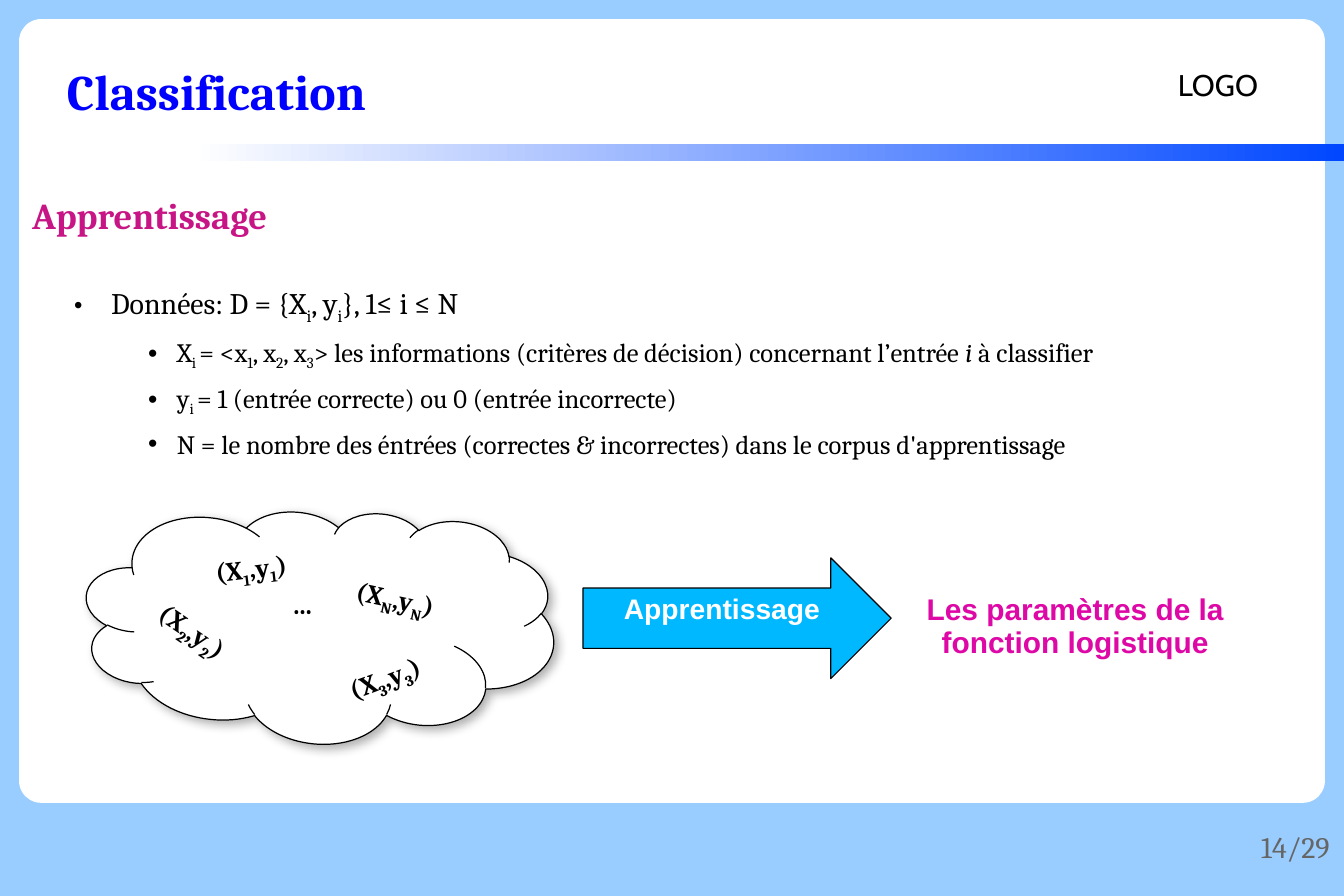
from lxml import etree
from pptx import Presentation
from pptx.dml.color import RGBColor
from pptx.enum.shapes import MSO_SHAPE as SHAPE
from pptx.enum.text import MSO_ANCHOR as ANCHOR, MSO_AUTO_SIZE as AUTOSIZE, PP_ALIGN as ALIGN
from pptx.oxml import parse_xml
from pptx.oxml.ns import nsdecls, qn
from pptx.util import Inches, Pt

# Content: ~ encloses subscripts, * encloses italics
TITLE = "Classification"
LOGO = "LOGO"
PAGE = "14/29"
HEADING = "Apprentissage"
DATA = "Données: D = {X~i~, y~i~}, 1≤ i ≤ N"
DETAILS = [
    "X~i ~= <x~1~, x~2~, x~3~> les informations (critères de décision) "
    "concernant l’entrée *i *à classifier",
    "y~i ~= 1 (entrée correcte) ou 0 (entrée incorrecte)",
    "N = le nombre des éntrées (correctes & incorrectes) dans le corpus d'apprentissage",
]
# Cloud samples: text, left %, top %, rotation
SAMPLES = [
    ("(X~1~,y~1~)", 15.11, 60.67, -6.7),
    ("(X~3~,y~3~)", 24.89, 72.4, -20.2),
    ("(X~2~,y~2~)", 10.49, 69.33, 34.3),
    ("…", 20.89, 65.33, 0),
    ("(X~N~,y~N~)", 25.6, 64.8, 12.3),
]
STEP = "Apprentissage"
RESULT = "Les paramètres de la fonction logistique"

BLACK, WHITE, SKY = "000000", "FFFFFF", "99CCFF"
SERIF, SANS = "Cambria", "Arial"

prs = Presentation()
prs.slide_width, prs.slide_height = Inches(11.25), Inches(7.5)
slide = prs.slides.add_slide(prs.slide_layouts[1])


def rgb(color):
    return RGBColor.from_string(color)


def share(left, top, width, height):
    """Turn percentages of the slide into lengths."""
    across, down = prs.slide_width / 100, prs.slide_height / 100
    return int(left * across), int(top * down), int(width * across), int(height * down)


def add_box(kind, area, fill=None, line=None):
    box = slide.shapes.add_shape(kind, *share(*area))
    box.shadow.inherit = False
    if fill:
        box.fill.solid()
        box.fill.fore_color.rgb = rgb(fill)
    if line:
        box.line.color.rgb = rgb(line)
        box.line.width = Pt(0.75)
    else:
        box.line.fill.background()
    return box


def set_frame(frame, margins=(0.1, 0.05, 0.1, 0.05), anchor=ANCHOR.TOP, wrap=True):
    frame.word_wrap = wrap
    frame.auto_size = AUTOSIZE.NONE
    frame.vertical_anchor = anchor
    (frame.margin_left, frame.margin_top,
     frame.margin_right, frame.margin_bottom) = map(Inches, margins)


def write(para, text, size, color, font=SERIF, bold=False, align=ALIGN.LEFT,
          spacing=0.93, before=0, after=0):
    para.alignment, para.line_spacing = align, spacing
    para.space_before, para.space_after = Pt(before), Pt(after)
    for i, section in enumerate(text.split("~")):
        for j, words in enumerate(section.split("*")):
            if not words:
                continue
            run = para.add_run()
            run.text = words
            run.font.size, run.font.name = Pt(size), font
            run.font.bold, run.font.italic = bold, j % 2 == 1
            run.font.color.rgb = rgb(color)
            if i % 2:
                run.font._element.set("baseline", "-25000")


def set_bullet(para, left=0, hanging=0, percent=None):
    props = para._p.get_or_add_pPr()
    props.set("marL", str(Inches(left)))
    props.set("indent", str(-Inches(hanging)))
    if not percent:
        etree.SubElement(props, qn("a:buNone"))
        return
    color = etree.SubElement(props, qn("a:buClr"))
    etree.SubElement(color, qn("a:srgbClr"), val=BLACK)
    etree.SubElement(props, qn("a:buSzPct"), val=str(percent * 1000))
    etree.SubElement(props, qn("a:buFont"), typeface=SANS)
    etree.SubElement(props, qn("a:buChar"), char="•")


def add_label(text, area, **style):
    label = slide.shapes.add_textbox(*share(*area))
    set_frame(label.text_frame)
    write(label.text_frame.paragraphs[0], text, **style)
    return label


# Background, panel and gradient bar
slide.background.fill.solid()
slide.background.fill.fore_color.rgb = rgb(SKY)
panel = add_box(SHAPE.ROUNDED_RECTANGLE, (1.42, 2.13, 97.16, 87.47), WHITE)
panel.adjustments[0] = 0.028
bar = add_box(SHAPE.RECTANGLE, (14.31, 16.13, 85.69, 1.87))
bar.fill.gradient()
bar.fill.gradient_angle = 0
for stop, color in zip(bar.fill.gradient_stops, (WHITE, "0047FF")):
    stop.color.rgb = rgb(color)
logo = add_label(LOGO, (86.76, 3.87, 7.91, 11.47), size=18, color=BLACK, font="Cabin")
set_frame(logo.text_frame, (0.1, 0.06, 0.1, 0.05), ANCHOR.MIDDLE, wrap=False)

# Title and list, brought in front of the panel
title, body = slide.shapes.title, slide.placeholders[1]
for holder, area in ((title, (4.98, 4, 77.87, 12.27)), (body, (1.51, 21.07, 95.91, 30))):
    holder.left, holder.top, holder.width, holder.height = share(*area)
    slide.shapes._spTree.append(holder._element)
set_frame(title.text_frame, (0, 0, 0, 0), ANCHOR.MIDDLE)
write(title.text_frame.paragraphs[0], TITLE, 30, "0000FF", bold=True, spacing=1)

set_frame(body.text_frame, (0.1, 0.11, 0.1, 0.05))
heading = body.text_frame.paragraphs[0]
set_bullet(heading)
write(heading, HEADING, 22, "C71585", bold=True, spacing=0.8)
data = body.text_frame.add_paragraph()
data.level = 1
set_bullet(data, 0.66, 0.31, 80)
write(data, DATA, 18, BLACK, spacing=2.0, before=4.3, after=6)
for text in DETAILS:
    detail = body.text_frame.add_paragraph()
    detail.level = 2
    set_bullet(detail, 1.21, 0.24, 100)
    write(detail, text, 16, BLACK, spacing=1.0, after=6)

# Page number
page = add_box(SHAPE.RECTANGLE, (86.31, 90.93, 13.51, 5.73), SKY)
set_frame(page.text_frame, (0.1, 0.14, 0.1, 0.05))
write(page.text_frame.paragraphs[0], PAGE, 18, "666666", align=ALIGN.RIGHT)

# Cloud of samples
cloud = add_box(SHAPE.CLOUD, (6.31, 56.67, 34.93, 26.27), WHITE, BLACK)
cloud.rotation = 5.7
cloud._element.spPr.find(qn("a:effectLst")).append(parse_xml(
    f'<a:outerShdw {nsdecls("a")} blurRad="{Pt(6)}" dist="{Pt(3)}" dir="2700000" '
    f'algn="tl" rotWithShape="0"><a:srgbClr val="{BLACK}"><a:alpha val="31000"/>'
    '</a:srgbClr></a:outerShdw>'))
for text, left, top, turn in SAMPLES:
    sample = add_label(text, (left, top, 10.4, 4.67), size=16, color=BLACK, bold=True)
    sample.rotation = turn

# Learning step and its result
arrow = add_box(SHAPE.RIGHT_ARROW, (43.38, 62.27, 22.93, 13.47), "00B8FF", BLACK)
set_frame(arrow.text_frame)
write(arrow.text_frame.paragraphs[0], STEP, 17, WHITE, SANS, True, ALIGN.CENTER)
add_label(RESULT, (64.09, 65.6, 31.82, 8.8), size=18, color="DE08A6", font=SANS,
          bold=True, align=ALIGN.CENTER)

prs.save("out.pptx")
